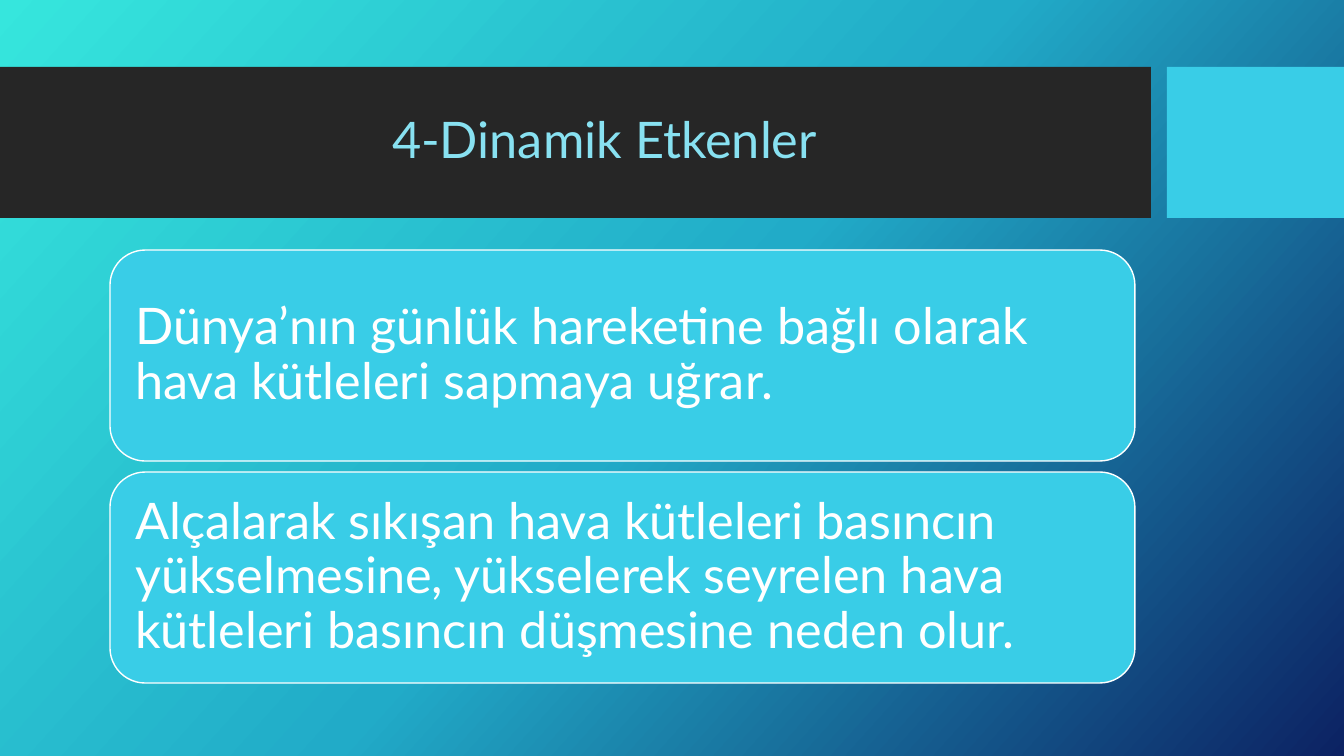
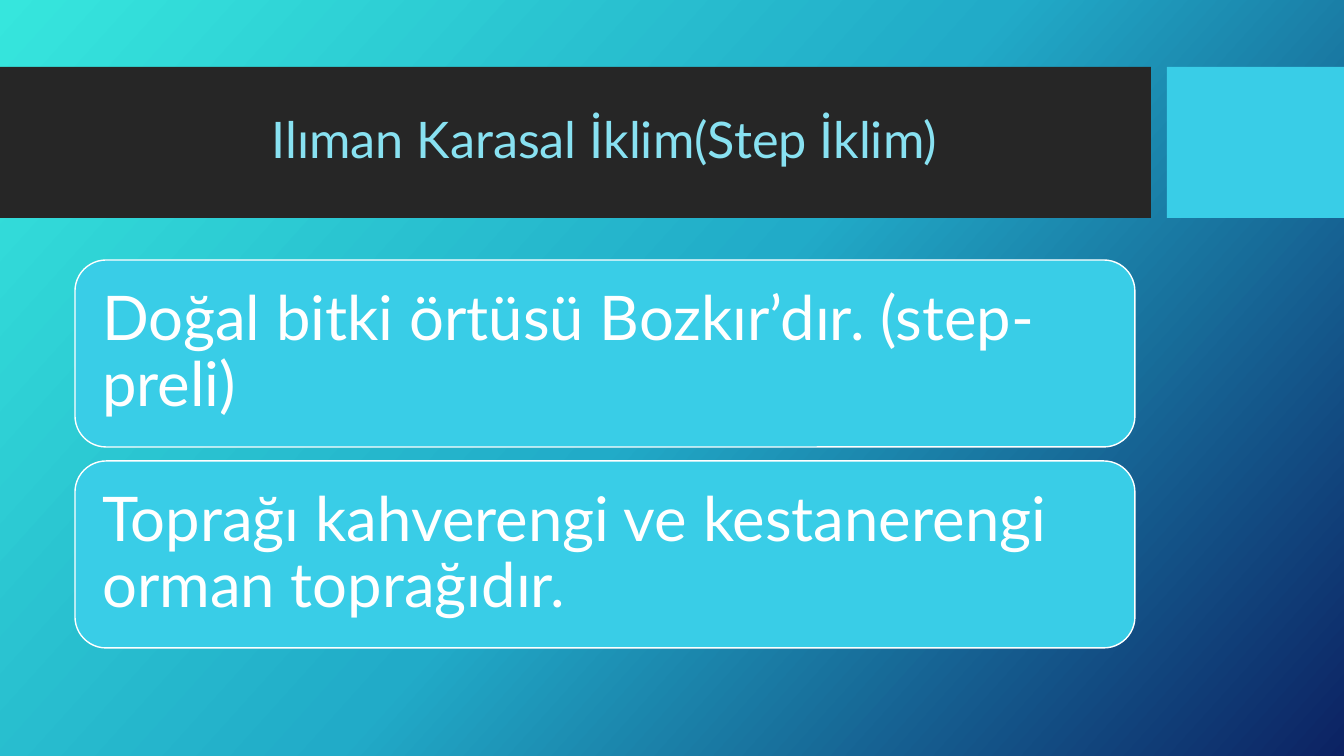
from copy import deepcopy
from dataclasses import dataclass

from pptx import Presentation
from pptx.dml.color import RGBColor
from pptx.enum.shapes import MSO_SHAPE
from pptx.enum.text import MSO_ANCHOR, PP_ALIGN
from pptx.oxml.ns import qn
from pptx.util import Pt

RECT, ROUNDED = MSO_SHAPE.RECTANGLE, MSO_SHAPE.ROUNDED_RECTANGLE
MIDDLE = MSO_ANCHOR.MIDDLE
LEFT, CENTER = PP_ALIGN.LEFT, PP_ALIGN.CENTER

SLIDE_W, SLIDE_H = 1344, 756
EMU_PER_PX = 12192000 / SLIDE_W

FONT = "Lato"
DARK, CYAN, PALE_CYAN, WHITE = "262626", "39CDE7", "88E1F1", "FFFFFF"
GRADIENT = [(0, "36E6DD"), (0.5, "21ABC8"), (1, "0C2263")]
GRADIENT_ANGLE = 42


@dataclass(frozen=True)
class Box:
    x: int
    y: int
    w: int
    h: int


@dataclass(frozen=True)
class CardSlide:
    title: str
    first_card: Box
    gap: int
    inset: int
    size: int
    texts: tuple[str, ...]


BANDS = [(Box(0, 67, 1151, 151), DARK), (Box(1167, 67, 177, 151), CYAN)]
TITLE = Box(75, 83, 1059, 119)

SLIDES = [
    CardSlide(
        "4-Dinamik Etkenler", Box(110, 250, 1025, 211), 11, 15, 36,
        ("Dünya’nın günlük hareketine bağlı olarak hava kütleleri sapmaya uğrar.",
         "Alçalarak sıkışan hava kütleleri basıncın yükselmesine, yükselerek "
         "seyrelen hava kütleleri basıncın düşmesine neden olur."),
    ),
    CardSlide(
        "Ilıman Karasal İklim(Step İklim)", Box(75, 260, 1060, 187), 14, 18, 44,
        ("Doğal bitki örtüsü Bozkır’dır. (step-preli)",
         "Toprağı kahverengi ve kestanerengi orman toprağıdır."),
    ),
]


def px(n: int) -> int:
    return round(n * EMU_PER_PX)


def rgb(color: str) -> RGBColor:
    return RGBColor.from_string(color)


def place(box: Box) -> tuple[int, ...]:
    return tuple(px(n) for n in (box.x, box.y, box.w, box.h))


def set_attrs(obj, values: dict) -> None:
    for name, value in values.items():
        setattr(obj, name, value)


def paint_background(master) -> None:
    fill = master.background.fill
    fill.gradient()
    # python-pptx measures the angle counter-clockwise
    fill.gradient_angle = 360 - GRADIENT_ANGLE
    stops = master.element.find(".//" + qn("a:gsLst"))
    stops.append(deepcopy(stops[-1]))
    for stop, (position, color) in zip(fill.gradient_stops, GRADIENT):
        stop.position = position
        stop.color.rgb = rgb(color)


def add_block(s, kind, box: Box, color: str, line: str | None = None):
    sp = s.shapes.add_shape(kind, *place(box))
    sp.shadow.inherit = False
    sp.fill.solid()
    sp.fill.fore_color.rgb = rgb(color)
    if line:
        sp.line.color.rgb = rgb(line)
        sp.line.width = Pt(1)
    else:
        sp.line.fill.background()
    return sp


def write(tf, text: str, size: int, color: str, align) -> None:
    set_attrs(tf, {"word_wrap": True, "vertical_anchor": MIDDLE})
    p = tf.paragraphs[0]
    set_attrs(p, {"alignment": align, "line_spacing": 0.9})
    r = p.add_run()
    r.text = text
    set_attrs(r.font, {"name": FONT, "size": Pt(size)})
    r.font.color.rgb = rgb(color)


def add_title(s, text: str) -> None:
    for box, color in BANDS:
        add_block(s, RECT, box, color)
    title = s.shapes.add_textbox(*place(TITLE))
    write(title.text_frame, text, 36, PALE_CYAN, CENTER)


def add_cards(s, content: CardSlide) -> None:
    first = content.first_card
    margins = dict.fromkeys(
        ("margin_left", "margin_top", "margin_right", "margin_bottom"),
        px(content.inset),
    )
    for i, text in enumerate(content.texts):
        box = Box(first.x, first.y + i * (first.h + content.gap), first.w, first.h)
        card = add_block(s, ROUNDED, box, CYAN, WHITE)
        set_attrs(card.text_frame, margins)
        write(card.text_frame, text, content.size, WHITE, LEFT)


def main() -> None:
    prs = Presentation()
    set_attrs(prs, {"slide_width": px(SLIDE_W), "slide_height": px(SLIDE_H)})
    paint_background(prs.slide_master)
    blank = prs.slide_layouts[6]
    for content in SLIDES:
        s = prs.slides.add_slide(blank)
        add_title(s, content.title)
        add_cards(s, content)
    prs.save("out.pptx")


if __name__ == "__main__":
    main()
